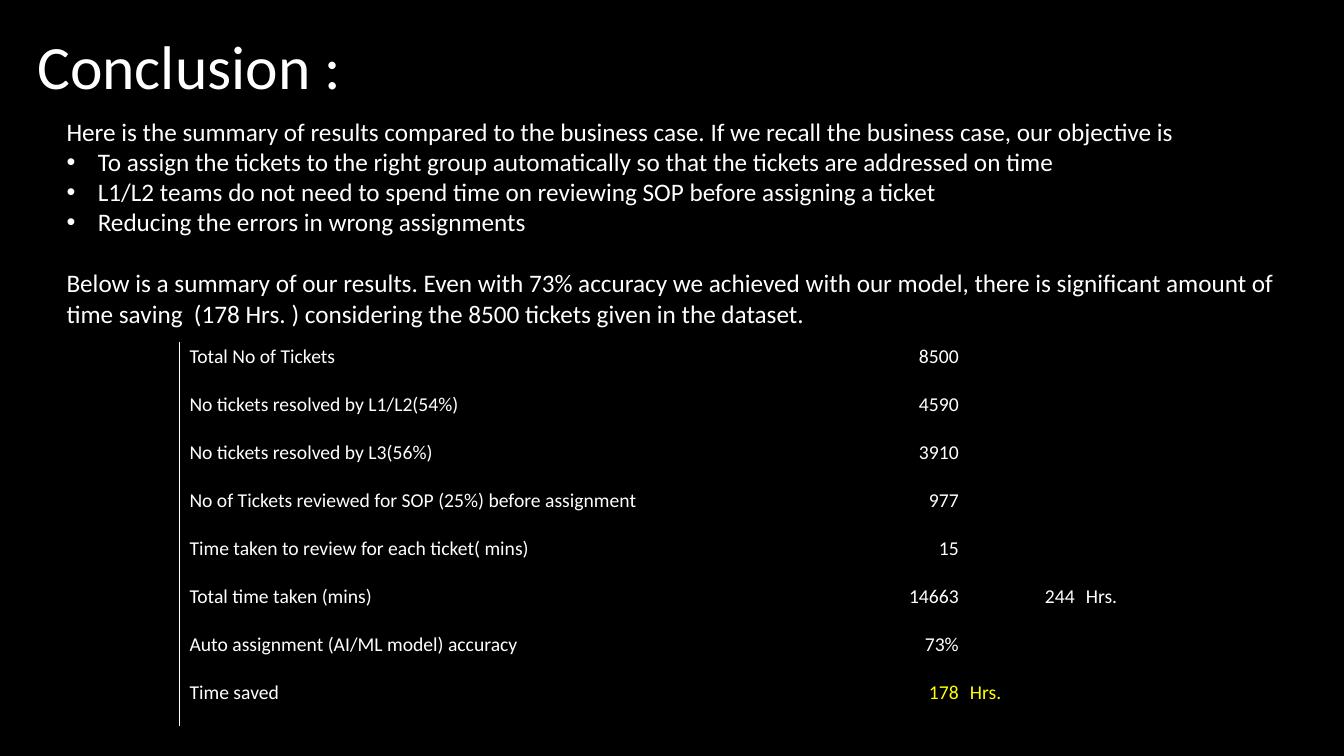
from lxml import etree
from pptx import Presentation
from pptx.dml.color import RGBColor
from pptx.enum.text import MSO_ANCHOR, MSO_AUTO_SIZE, PP_ALIGN
from pptx.oxml.ns import qn
from pptx.util import Inches, Pt

LEFT, RIGHT = PP_ALIGN.LEFT, PP_ALIGN.RIGHT
TOP, MIDDLE, BOTTOM = MSO_ANCHOR.TOP, MSO_ANCHOR.MIDDLE, MSO_ANCHOR.BOTTOM
NO_AUTOFIT = MSO_AUTO_SIZE.NONE
WHITE, YELLOW, BLACK = "FFFFFF", "FFFF00", "000000"


def style_font(paragraph, size, color=WHITE):
    for run in paragraph.runs:
        run.font.name = "Calibri"
        run.font.size = Pt(size)
        run.font.color.rgb = RGBColor.from_string(color)


def set_border(cell, edge, position, color=None):
    line = etree.Element(qn(f"a:{edge}"), w=str(Pt(0.75)))
    if color:
        fill = etree.SubElement(line, qn("a:solidFill"))
        etree.SubElement(fill, qn("a:srgbClr"), val=color)
    else:
        etree.SubElement(line, qn("a:noFill"))
    cell._tc.get_or_add_tcPr().insert(position, line)


prs = Presentation()
prs.slide_width, prs.slide_height = Inches(13.33), Inches(7.5)
slide = prs.slides.add_slide(prs.slide_layouts[1])
slide.background.fill.solid()
slide.background.fill.fore_color.rgb = RGBColor.from_string(BLACK)

# Title
title = slide.shapes.title
title.left, title.top = Inches(0.27), Inches(0.25)
title.width, title.height = Inches(11.5), Inches(0.88)
title.text_frame.text = "Conclusion :"
title.text_frame.vertical_anchor = MIDDLE
title.text_frame.auto_size = NO_AUTOFIT
heading = title.text_frame.paragraphs[0]
heading.alignment = LEFT
heading.line_spacing = 0.9
style_font(heading, 44)

# Summary: text, whether bulleted, space before in points
summary_lines = [
    ("Here is the summary of results compared to the business case. "
     "If we recall the business case, our objective is", False, 0),
    ("To assign the tickets to the right group automatically "
     "so that the tickets are addressed on time", True, 0),
    ("L1/L2 teams do not need to spend time on reviewing SOP before assigning a ticket", True, 0),
    ("Reducing the errors in wrong assignments", True, 0),
    ("Below is a summary of our results. Even with 73% accuracy we achieved with our model, "
     "there is significant amount of time saving  (178 Hrs. ) considering the 8500 tickets "
     "given in the dataset.", False, 22),
]
summary = slide.placeholders[1]
summary.left, summary.top = Inches(0.56), Inches(1.1)
summary.width, summary.height = Inches(12.51), Inches(2.22)
summary.text_frame.text = "\n".join(text for text, _, _ in summary_lines)
summary.text_frame.vertical_anchor = TOP
summary.text_frame.auto_size = NO_AUTOFIT
for paragraph, (_, bulleted, space) in zip(summary.text_frame.paragraphs, summary_lines):
    indent = Inches(0.31) if bulleted else 0
    properties = paragraph._p.get_or_add_pPr()
    properties.set("marL", str(indent))
    properties.set("indent", str(-indent))
    if bulleted:
        etree.SubElement(properties, qn("a:buFont"), typeface="Arial")
        etree.SubElement(properties, qn("a:buChar"), char="•")
    else:
        etree.SubElement(properties, qn("a:buNone"))
    paragraph.space_before = Pt(space)
    style_font(paragraph, 18)

# Results table
results = [
    ("Total No of Tickets", "8500", "", ""),
    ("No tickets resolved by L1/L2(54%)", "4590", "", ""),
    ("No tickets resolved by L3(56%)", "3910", "", ""),
    ("No of Tickets reviewed for SOP (25%) before assignment", "977", "", ""),
    ("Time taken to review for each ticket( mins)", "15", "", ""),
    ("Total time taken (mins)", "14663", "244", "Hrs."),
    ("Auto assignment (AI/ML model) accuracy", "73%", "", ""),
    ("Time saved", "178", "Hrs.", ""),
]
results_frame = slide.shapes.add_table(
    len(results), 4, Inches(1.78), Inches(3.39), Inches(9.99), Inches(3.8))
table = results_frame.table
table.first_row = table.horz_banding = False
for column, width in zip(table.columns, (6.12, 1.62, 1.15, 1.1)):
    column.width = Inches(width)

for r, values in enumerate(results):
    for c, value in enumerate(values):
        cell = table.cell(r, c)
        cell.fill.background()
        for position, edge in enumerate(("lnL", "lnR", "lnT", "lnB")):
            set_border(cell, edge, position, WHITE if c == 0 and edge == "lnL" else None)
        cell.vertical_anchor = BOTTOM
        cell.margin_left, cell.margin_right = Inches(0.1), Inches(0.01)
        cell.margin_top, cell.margin_bottom = Inches(0.03), Inches(0.21)
        if not value:
            cell.text_frame.paragraphs[0].font.size = Pt(14)
            continue
        cell.text_frame.text = value
        entry = cell.text_frame.paragraphs[0]
        entry.alignment = RIGHT if value[0].isdigit() else LEFT
        is_saving = values[0] == "Time saved" and c > 0
        style_font(entry, 14, YELLOW if is_saving else WHITE)

prs.save("out.pptx")
